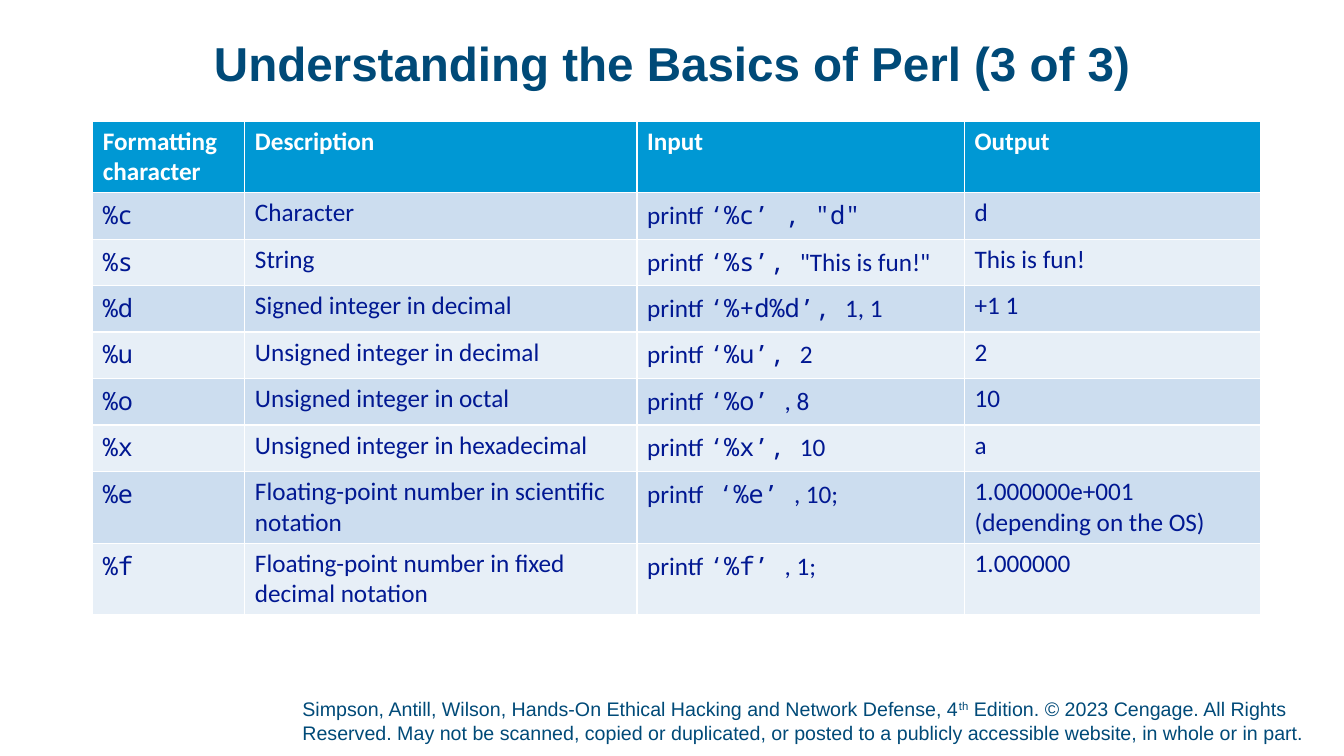
"""Build the slide with the table of Perl printf formatting characters."""
from pptx import Presentation
from pptx.dml.color import RGBColor
from pptx.enum.text import MSO_ANCHOR, PP_ALIGN
from pptx.util import Pt

TITLE = "Understanding the Basics of Perl (3 of 3)"
HEADERS = ["Formatting character", "Description", "Input", "Output"]
SANS, MONO, HEADING = "Calibri", "Noto Sans Mono", "Arial"
ROWS = [
    ("%c", "Character", ("printf ", "‘%c’ , \"d\"", ""), "d"),
    ("%s", "String", ("printf ", "‘%s’, ", "\"This is fun!\""), "This is fun!"),
    ("%d", "Signed integer in decimal", ("printf ", "‘%+d%d’, ", "1, 1"), "+1 1"),
    ("%u", "Unsigned integer in decimal", ("printf ", "‘%u’, ", "2"), "2"),
    ("%o", "Unsigned integer in octal", ("printf ", "‘%o’ ", ", 8"), "10"),
    ("%x", "Unsigned integer in hexadecimal", ("printf ", "‘%x’, ", "10"), "a"),
    ("%e", "Floating-point number in scientific notation",
     ("printf", " ‘%e’ ", ", 10;"), "1.000000e+001\n(depending on the OS)"),
    ("%f", "Floating-point number in fixed\ndecimal notation",
     ("printf ", "‘%f’ ", ", 1;"), "1.000000"),
]
COPYRIGHT = [
    ("Simpson, Antill, Wilson, Hands-On Ethical Hacking and Network Defense, 4", False),
    ("th", True),
    (" Edition. © 2023 Cengage. All Rights Reserved. May not be scanned, copied or "
     "duplicated, or posted to a publicly accessible website, in whole or in part.", False),
]

NAVY = RGBColor(0x00, 0x4A, 0x78)
INK = RGBColor(0x01, 0x18, 0x92)
WHITE = RGBColor(0xFF, 0xFF, 0xFF)
HEADER_FILL = RGBColor(0x00, 0x98, 0xD4)
BANDS = [RGBColor(0xCC, 0xDD, 0xEF), RGBColor(0xE7, 0xEF, 0xF7)]
CENTER, TOP, BOTTOM = PP_ALIGN.CENTER, MSO_ANCHOR.TOP, MSO_ANCHOR.BOTTOM

TABLE_LEFT, TABLE_TOP = 66.24, 86.4
COLUMN_WIDTHS = [108.7, 280.1, 234, 211.7]
LINE_HEIGHT, TALL_HEIGHT = 33.2, 51.2
TALL_ROWS = {0, 7, 8}


def style(span, face, size, color, bold=False):
    span.font.name, span.font.size = face, Pt(size)
    span.font.color.rgb, span.font.bold = color, bold


def frame_box(box, anchor, bottom=0):
    frame = box.text_frame
    frame.word_wrap, frame.vertical_anchor = True, anchor
    frame.margin_left = frame.margin_top = frame.margin_right = 0
    frame.margin_bottom = Pt(bottom)
    return frame


def add_title(page):
    box = page.shapes.title
    box.left, box.top, box.width, box.height = Pt(66.24), Pt(28.8), Pt(828), Pt(53.28)
    frame = frame_box(box, TOP)
    frame.text = TITLE
    para = frame.paragraphs[0]
    para.alignment, para.line_spacing = CENTER, 0.9
    style(para.runs[0], HEADING, 34, NAVY, True)


def add_copyright(page):
    box = page.shapes.add_textbox(Pt(216), Pt(497.5), Pt(717.1), Pt(37.5))
    para = frame_box(box, BOTTOM, 3.6).paragraphs[0]
    for text, raised in COPYRIGHT:
        span = para.add_run()
        span.text = text
        style(span, HEADING, 14, NAVY)
        if raised:
            span.font._element.set("baseline", "30000")


def fill_cell(cell, content, face, color, fill, bold=False):
    cell.fill.solid()
    cell.fill.fore_color.rgb = fill
    if isinstance(content, tuple):
        for text, part_face in zip(content, (SANS, MONO, SANS)):
            if text:
                span = cell.text_frame.paragraphs[0].add_run()
                span.text = text
                style(span, part_face, 18, color)
        return
    cell.text_frame.text = content
    for para in cell.text_frame.paragraphs:
        style(para.runs[0], face, 18, color, bold)


def add_format_table(page):
    heights = [TALL_HEIGHT if i in TALL_ROWS else LINE_HEIGHT for i in range(len(ROWS) + 1)]
    table = page.shapes.add_table(
        len(heights), len(HEADERS), Pt(TABLE_LEFT), Pt(TABLE_TOP),
        Pt(sum(COLUMN_WIDTHS)), Pt(sum(heights))).table
    for column, width in zip(table.columns, COLUMN_WIDTHS):
        column.width = Pt(width)
    for row, height in zip(table.rows, heights):
        row.height = Pt(height)
    for column, header in enumerate(HEADERS):
        fill_cell(table.cell(0, column), header, SANS, WHITE, HEADER_FILL, True)
    for index, contents in enumerate(ROWS):
        for column, content in enumerate(contents):
            face = MONO if column == 0 else SANS
            fill_cell(table.cell(index + 1, column), content, face, INK, BANDS[index % 2])


def main():
    deck = Presentation()
    deck.slide_width, deck.slide_height = Pt(960), Pt(540)
    page = deck.slides.add_slide(deck.slide_layouts[5])
    add_copyright(page)
    add_title(page)
    add_format_table(page)
    deck.save("out.pptx")


if __name__ == "__main__":
    main()
